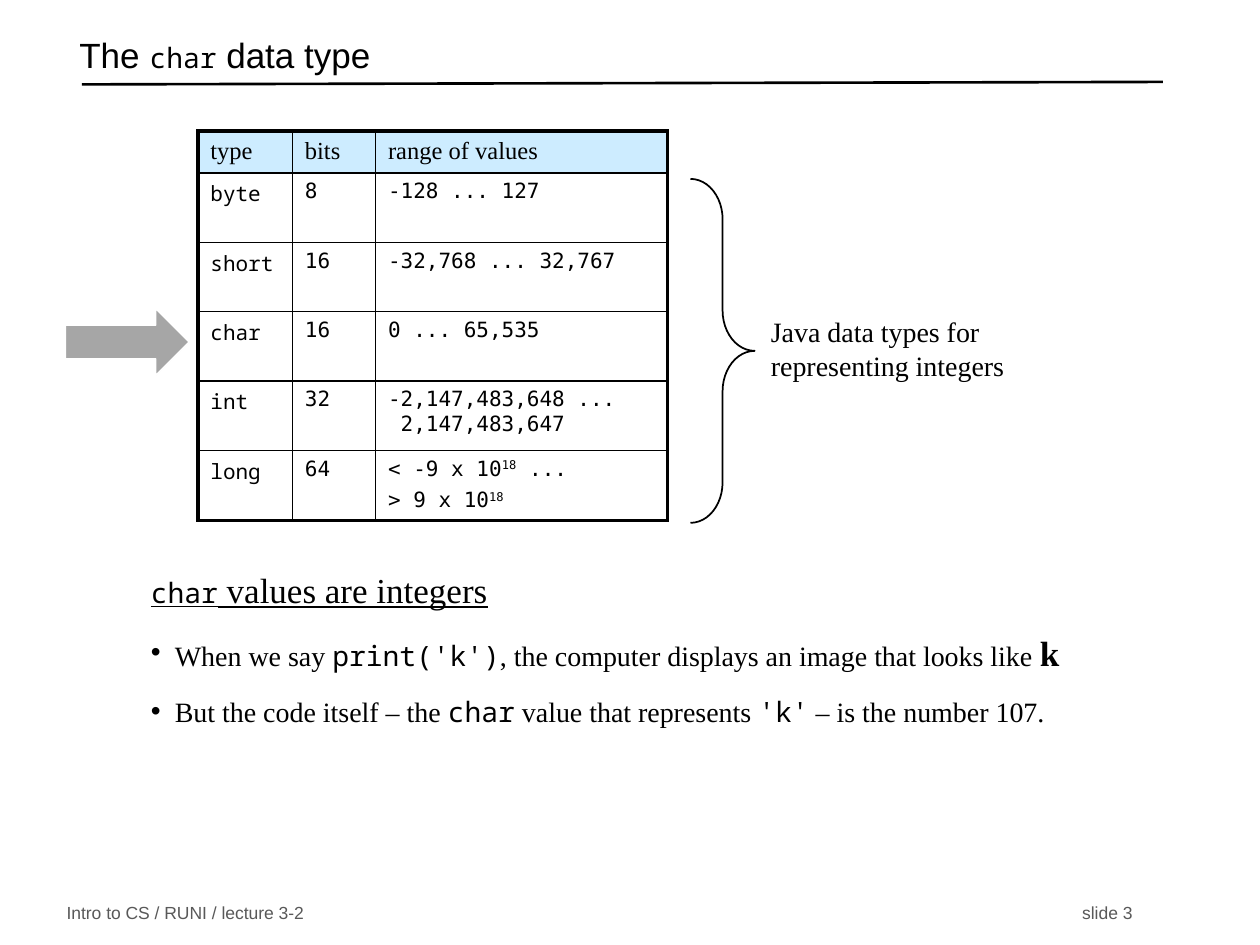
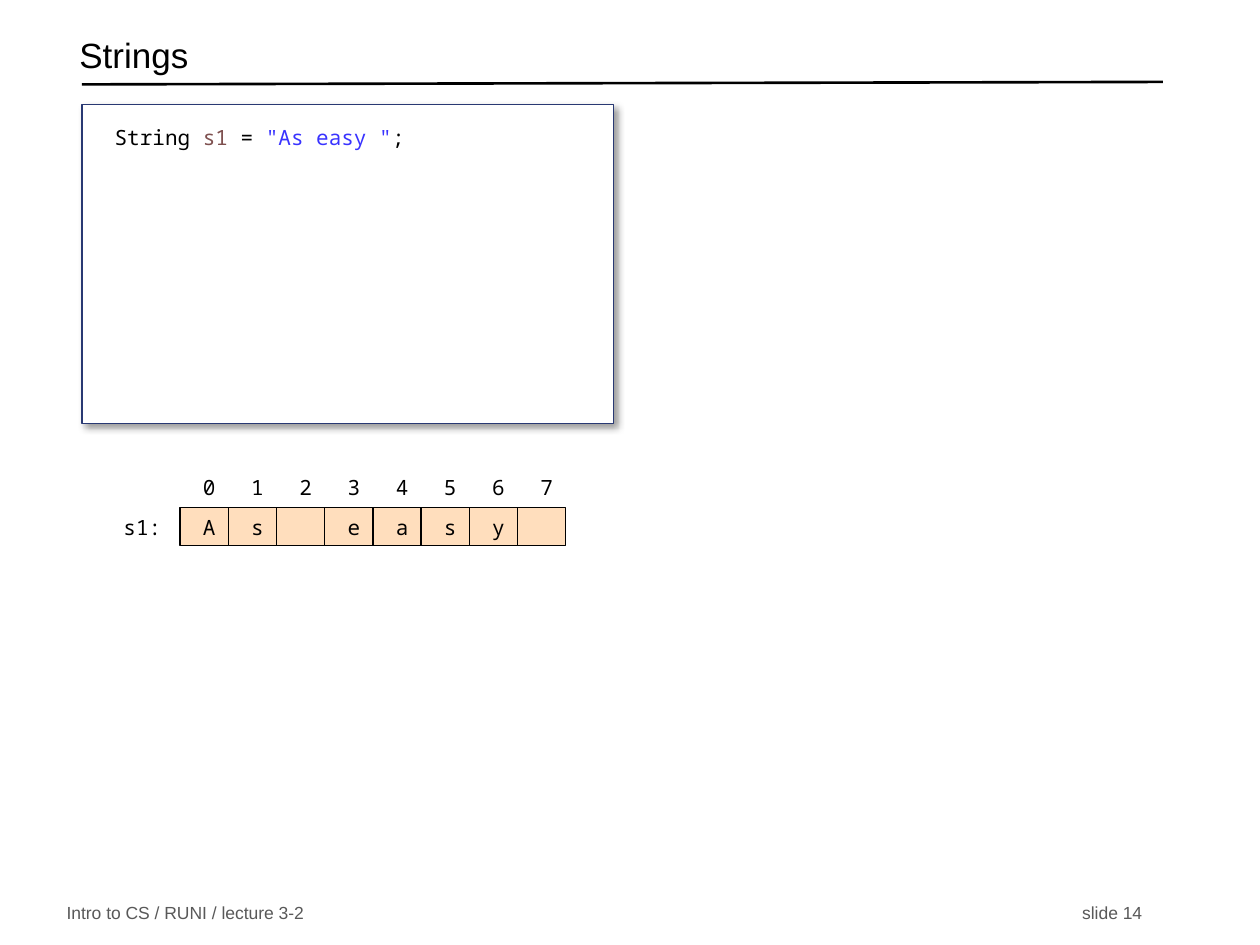
from lxml import etree
from pptx import Presentation
from pptx import util as u
from pptx.dml.color import RGBColor
from pptx.enum import shapes, text
from pptx.oxml import ns

SANS, SERIF = "Arial", "Times New Roman"
CODE, DIGITS = "Noto Sans Mono", "DejaVu Sans Mono"
BLACK, WHITE, GREY, FOOTER_GREY = "000000", "FFFFFF", "A6A6A6", "595959"
HEADER_BLUE, CELL_PEACH, CODE_BORDER = "CDECFF", "FFDEBD", "293973"
VARIABLE_BROWN, STRING_BLUE = "7E504F", "3933FF"
MIDDLE, TOP = text.MSO_ANCHOR.MIDDLE, text.MSO_ANCHOR.TOP
LEFT, CENTER = text.PP_ALIGN.LEFT, text.PP_ALIGN.CENTER
INSETS = (0.1, 0.05, 0.1, 0.05)
CHAR_INSETS = (0.08, 0.05, 0, 0.05)


def rgb(value):
    return RGBColor.from_string(value)


def inches(values):
    return [u.Inches(value) for value in values]


def add_xml(parent, tag, **attributes):
    return etree.SubElement(parent, ns.qn(tag), attributes)


def add_run(paragraph, content, size, font, color, bold=False,
            underline=False, superscript=False):
    run = paragraph.add_run()
    run.text = content
    run.font.size = u.Pt(size)
    run.font.name = font
    run.font.color.rgb = rgb(color)
    run.font.bold = bold
    run.font.underline = underline
    if superscript:
        run.font._element.set("baseline", "30000")


def add_bullet(paragraph):
    properties = paragraph._p.get_or_add_pPr()
    properties.set("marL", str(u.Inches(0.19)))
    properties.set("indent", str(-u.Inches(0.19)))
    add_xml(properties, "a:buFont", typeface=SANS)
    add_xml(properties, "a:buChar", char="•")


def write(frame, paragraphs, size=12, font=SANS, color=BLACK, align=LEFT,
          anchor=TOP, insets=INSETS, gap=0, spacing=None, bulleted_from=None, wrap=True):
    frame.word_wrap = wrap
    frame.vertical_anchor = anchor
    (frame.margin_left, frame.margin_top,
     frame.margin_right, frame.margin_bottom) = inches(insets)
    write_paragraphs(frame, paragraphs, size, font, color, align, gap,
                     spacing, bulleted_from)


def write_paragraphs(frame, paragraphs, size, font, color=BLACK, align=LEFT,
                     gap=0, spacing=None, bulleted_from=None):
    if isinstance(paragraphs, str):
        paragraphs = [[paragraphs]]
    for index, runs in enumerate(paragraphs):
        paragraph = frame.add_paragraph() if index else frame.paragraphs[0]
        if bulleted_from is not None and index >= bulleted_from:
            add_bullet(paragraph)
        paragraph.alignment = align
        paragraph.space_before = u.Pt(gap if index else 0)
        if spacing:
            paragraph.line_spacing = spacing
        for run in runs:
            content, changes = (run, {}) if isinstance(run, str) else run
            style = {"size": size, "font": font, "color": color, **changes}
            for number, line in enumerate(content.split("\n")):
                if number:
                    paragraph.add_line_break()
                add_run(paragraph, line, **style)


def add_text(slide, box, paragraphs, **style):
    label = slide.shapes.add_textbox(*inches(box))
    write(label.text_frame, paragraphs, **style)


def add_figure(slide, kind, box, fill=None, line=BLACK, width=0.75):
    figure = slide.shapes.add_shape(kind, *inches(box))
    figure.shadow.inherit = False
    if fill:
        figure.fill.solid()
        figure.fill.fore_color.rgb = rgb(fill)
    else:
        figure.fill.background()
    figure.line.color.rgb = rgb(line)
    figure.line.width = u.Pt(width)
    return figure


def add_shadow(figure):
    effects = figure._element.spPr.find(ns.qn("a:effectLst"))
    shadow = add_xml(effects, "a:outerShdw", blurRad=str(u.Pt(4)),
                     dist=str(u.Pt(3)), dir=str(45 * 60000),
                     algn="tl", rotWithShape="0")
    tint = add_xml(shadow, "a:srgbClr", val=BLACK)
    add_xml(tint, "a:alpha", val="40000")


def add_titled_slide(deck, title, number):
    slide = deck.slides.add_slide(deck.slide_layouts[5])
    heading = slide.shapes.title
    heading.left, heading.top, heading.width, heading.height = inches(
        (0.53, 0.22, 8.6, 0.5))
    write(heading.text_frame, title, size=20, anchor=MIDDLE, spacing=0.7)

    rule = slide.shapes.add_connector(
        shapes.MSO_CONNECTOR.STRAIGHT, *inches((0.65, 0.67, 9.23, 0.65)))
    rule.line.color.rgb = rgb(BLACK)
    rule.line.width = u.Pt(1.5)
    add_xml(rule._element.spPr, "a:effectLst")

    for left, footer in ((0.43, "Intro to CS / RUNI / lecture 3-2"),
                         (8.49, f"slide {number}")):
        add_text(slide, (left, 7.14, 3 if left < 1 else 1, 0.21), footer,
                 size=10, color=FOOTER_GREY, anchor=MIDDLE)
    return slide


def add_borders(cell, widths):
    properties = cell._tc.get_or_add_tcPr()
    for side, width in zip("LRTB", widths):
        border = add_xml(properties, f"a:ln{side}", w=str(u.Pt(width)))
        fill = add_xml(border, "a:solidFill")
        add_xml(fill, "a:srgbClr", val=BLACK)


def add_type_table(slide, rows, widths, heights):
    box = (1.57, 1.04, sum(widths), sum(heights))
    table = slide.shapes.add_table(len(rows), len(widths), *inches(box)).table
    table.first_row = table.horz_banding = False
    for column, width in zip(table.columns, widths):
        column.width = u.Inches(width)
    for row, height in zip(table.rows, heights):
        row.height = u.Inches(height)
    last_row, last_column = len(rows) - 1, len(widths) - 1
    for r, row in enumerate(rows):
        for c, content in enumerate(row):
            cell = table.cell(r, c)
            outer = (c == 0, c == last_column, r == 0, r == last_row)
            add_borders(cell, [2.25 if edge else 1 for edge in outer])
            if r == 0:
                cell.fill.solid()
                cell.fill.fore_color.rgb = rgb(HEADER_BLUE)
                size, font = 14, SERIF
            else:
                cell.fill.background()
                size, font = 12, DIGITS if c else CODE
            write_paragraphs(cell.text_frame, content, size, font, gap=4)


def add_char_cells(slide, name, value):
    left, top, height = 1.43, 4.03, 0.3
    pitch = 3.06 / len(value)
    style = {"font": CODE, "align": CENTER, "anchor": MIDDLE,
             "insets": CHAR_INSETS}
    add_text(slide, (0.86, top, 0.46, height), f"{name}:", **style)
    for index, char in enumerate(value):
        x = left + index * pitch
        add_text(slide, (x, 3.72, pitch, height), str(index), **style)
        cell = add_figure(slide, shapes.MSO_SHAPE.RECTANGLE,
                          (x, top, pitch, height), CELL_PEACH)
        if char != " ":
            write(cell.text_frame, char, **style)


def build_char_slide(deck):
    code = {"font": CODE}
    slide = add_titled_slide(
        deck, [["The ", ("char", {"font": CODE, "size": 16}), " data type"]], 3)
    power = ("18", {"superscript": True})
    add_type_table(slide, [
        ("type", "bits", "range of values"),
        ("byte", "8", "-128 ... 127"),
        ("short", "16", "-32,768 ... 32,767"),
        ("char", "16", "0 ... 65,535"),
        ("int", "32", "-2,147,483,648 ...\n 2,147,483,647"),
        ("long", "64", [["< -9 x 10", power, " ..."], ["> 9 x 10", power]]),
    ], widths=(0.75, 0.66, 2.32), heights=[0.32] + [0.55] * 5)

    add_figure(slide, shapes.MSO_SHAPE.RIGHT_ARROW,
               (0.52, 2.45, 0.98, 0.53), GREY, WHITE)
    brace = add_figure(slide, shapes.MSO_SHAPE.RIGHT_BRACE,
                       (5.48, 1.42, 0.51, 2.73), width=1)
    brace.adjustments[0] = 0.63
    add_text(slide, (6.02, 2.45, 2.4, 0.62),
             "Java data types for representing integers", size=16, font=SERIF)

    add_text(slide, (1.1, 4.46, 7.7, 1.8), [
        [("char", {"font": CODE, "underline": True}),
         (" values are integers", {"size": 20, "underline": True})],
        ["When we say ", ("print('k')", code),
         ", the computer displays an image that looks like ",
         ("k", {"size": 20, "bold": True})],
        ["But the code itself – the ", ("char", code),
         " value that represents ", ("'k'", code), " – is the number 107."],
    ], size=16, font=SERIF, gap=12, bulleted_from=1)


def build_strings_slide(deck):
    slide = add_titled_slide(deck, "Strings", 14)
    add_char_cells(slide, "s1", "As easy ")
    listing = add_figure(slide, shapes.MSO_SHAPE.RECTANGLE,
                         (0.65, 0.83, 4.22, 2.53), WHITE, CODE_BORDER)
    add_shadow(listing)
    write(listing.text_frame,
          [["String ", ("s1", {"color": VARIABLE_BROWN}), " = ",
            ('"As easy "', {"color": STRING_BLUE}), ";"]],
          font=CODE, insets=(0.26, 0.05, 0.18, 0.19), spacing=u.Pt(22.4))


def main():
    deck = Presentation()
    deck.slide_width, deck.slide_height = inches((10, 7.5))
    build_char_slide(deck)
    build_strings_slide(deck)
    deck.save("out.pptx")


if __name__ == "__main__":
    main()
